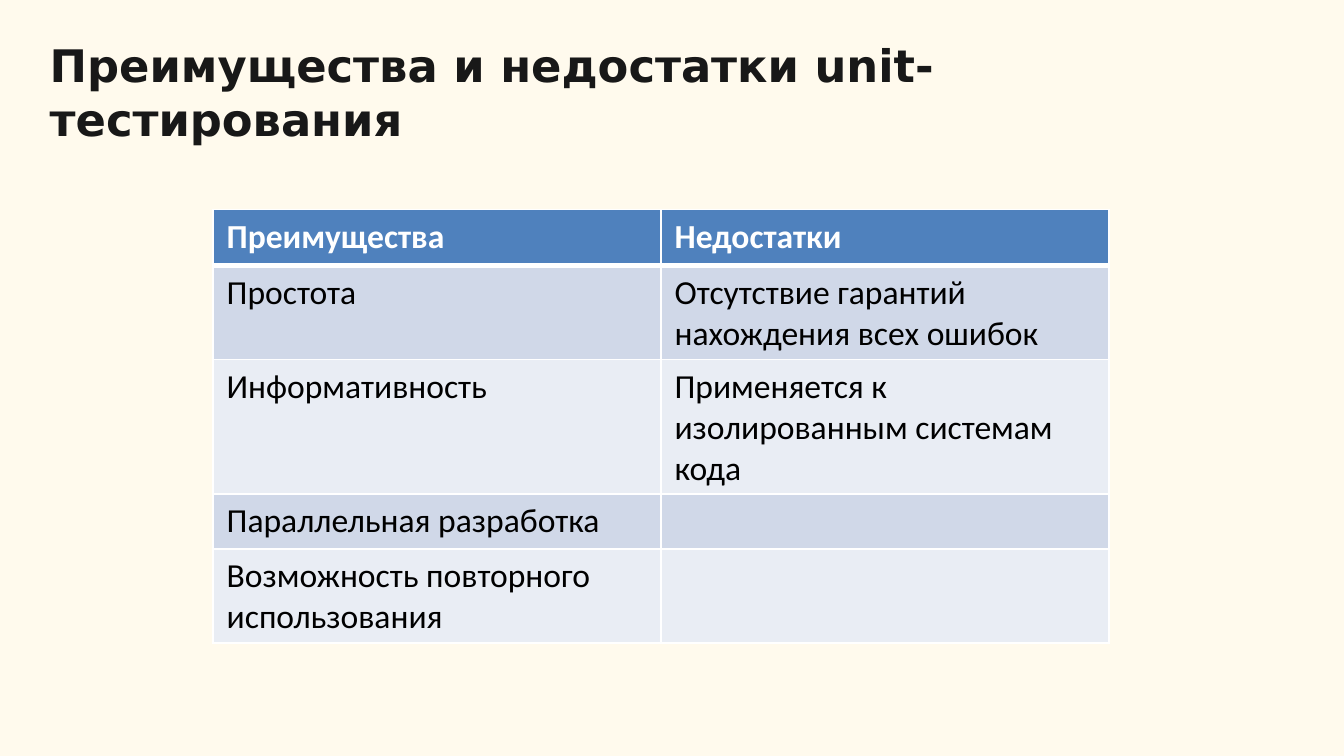
"""Build a slide comparing the advantages and drawbacks of unit testing."""
from dataclasses import dataclass

from lxml.etree import SubElement
from pptx import Presentation
from pptx.dml.color import RGBColor as Color
from pptx.enum.text import MSO_ANCHOR as Anchor
from pptx.oxml.ns import qn
from pptx.slide import Slide
from pptx.table import _Cell as Cell
from pptx.text.text import _Paragraph as Paragraph
from pptx.util import Cm, Pt


@dataclass(frozen=True)
class TextStyle:
    font: str
    size: int
    color: str
    bold: bool = False


@dataclass(frozen=True)
class Theme:
    background: str = "FFFAED"
    header: str = "4F81BD"
    bands: tuple[str, str] = ("D0D8E8", "E9EDF4")
    border: str = "FFFFFF"
    thin: int = 1
    thick: int = 3
    title: TextStyle = TextStyle("DejaVu Sans", 24, "181818", True)
    heading: TextStyle = TextStyle("Calibri", 18, "FFFFFF", True)
    body: TextStyle = TextStyle("Calibri", 18, "000000")


@dataclass(frozen=True)
class Row:
    advantage: str
    drawback: str
    height: float


THEME = Theme()
ROWS = (
    Row("Преимущества", "Недостатки", 1.06),
    Row("Простота", "Отсутствие гарантий нахождения всех ошибок", 1.77),
    Row("Информативность", "Применяется к изолированным системам кода", 2.54),
    Row("Параллельная разработка", "", 1.04),
    Row("Возможность повторного использования", "", 1.77),
)


def write(para: Paragraph, text: str, style: TextStyle) -> None:
    para.text = text
    for target in (para, *para.runs):
        target.font.name = style.font
        target.font.size = Pt(style.size)
        target.font.bold = style.bold
        target.font.color.rgb = Color.from_string(style.color)


def add_title(slide: Slide, text: str) -> None:
    box = slide.shapes.add_textbox(Cm(0.94), Cm(0.69), Cm(22.7), Cm(2.08))
    frame = box.text_frame
    frame.word_wrap = True
    frame.vertical_anchor = Anchor.TOP
    frame.margin_left = frame.margin_right = frame.margin_bottom = 0
    frame.margin_top = Cm(0.03)
    para = frame.paragraphs[0]
    write(para, text, THEME.title)
    para.space_before = Pt(1)


def set_borders(cell: Cell, top: int, bottom: int) -> None:
    properties = cell._tc.get_or_add_tcPr()
    widths = {"lnL": THEME.thin, "lnR": THEME.thin, "lnT": top, "lnB": bottom}
    for side, width in widths.items():
        line = SubElement(properties, qn(f"a:{side}"), w=str(Pt(width)))
        fill = SubElement(line, qn("a:solidFill"))
        SubElement(fill, qn("a:srgbClr"), val=THEME.border)


def add_comparison(slide: Slide, rows: tuple[Row, ...]) -> None:
    height = Cm(sum(row.height for row in rows))
    frame = slide.shapes.add_table(len(rows), 2, Cm(4.03), Cm(3.96), Cm(16.93), height)
    table = frame.table
    for index, row in enumerate(rows):
        table.rows[index].height = Cm(row.height)
        style = THEME.body if index else THEME.heading
        color = THEME.bands[(index - 1) % 2] if index else THEME.header
        top = THEME.thick if index == 1 else THEME.thin
        bottom = THEME.thin if index else THEME.thick
        for column, text in enumerate((row.advantage, row.drawback)):
            cell = table.cell(index, column)
            set_borders(cell, top, bottom)
            cell.fill.solid()
            cell.fill.fore_color.rgb = Color.from_string(color)
            write(cell.text_frame.paragraphs[0], text, style)


def main() -> None:
    deck = Presentation()
    deck.slide_width, deck.slide_height = Cm(25.4), Cm(14.29)
    slide = deck.slides.add_slide(deck.slide_layouts[6])
    slide.background.fill.solid()
    slide.background.fill.fore_color.rgb = Color.from_string(THEME.background)
    add_title(slide, "Преимущества и недостатки unit-тестирования")
    add_comparison(slide, ROWS)
    deck.save("out.pptx")


if __name__ == "__main__":
    main()
